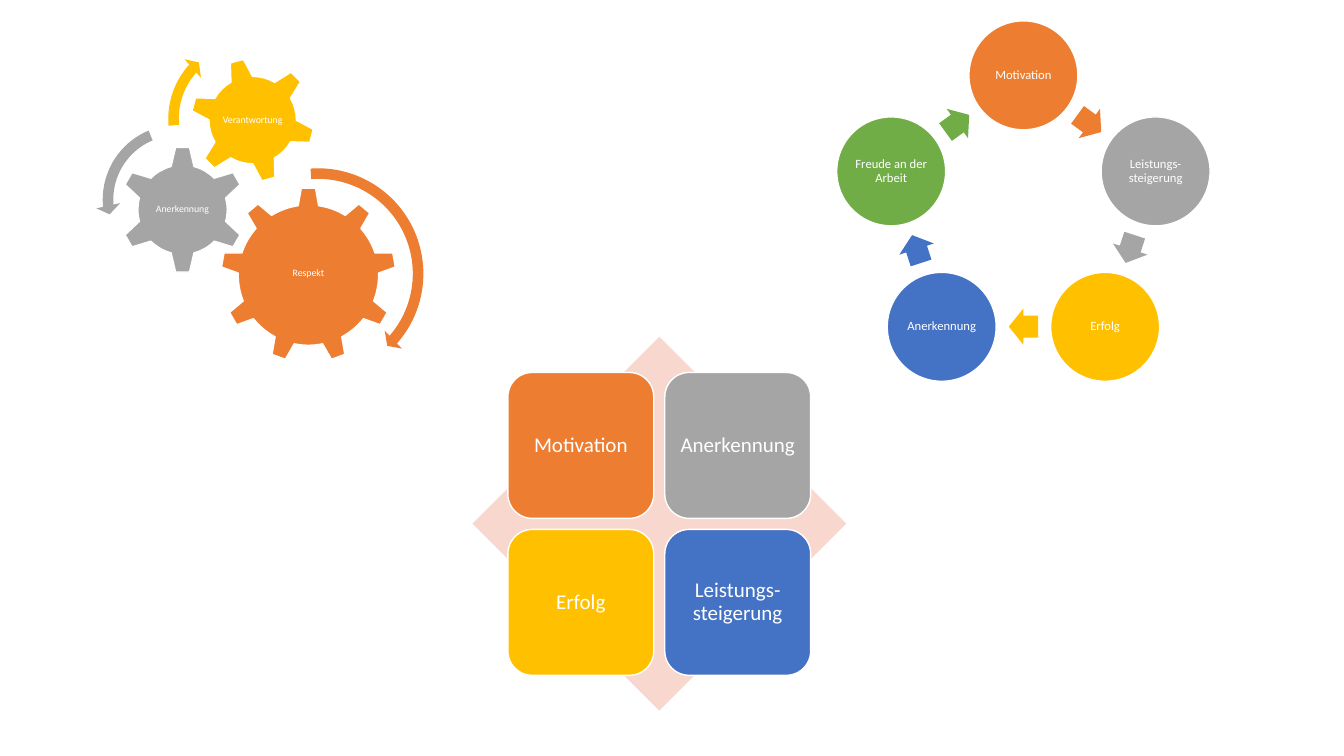
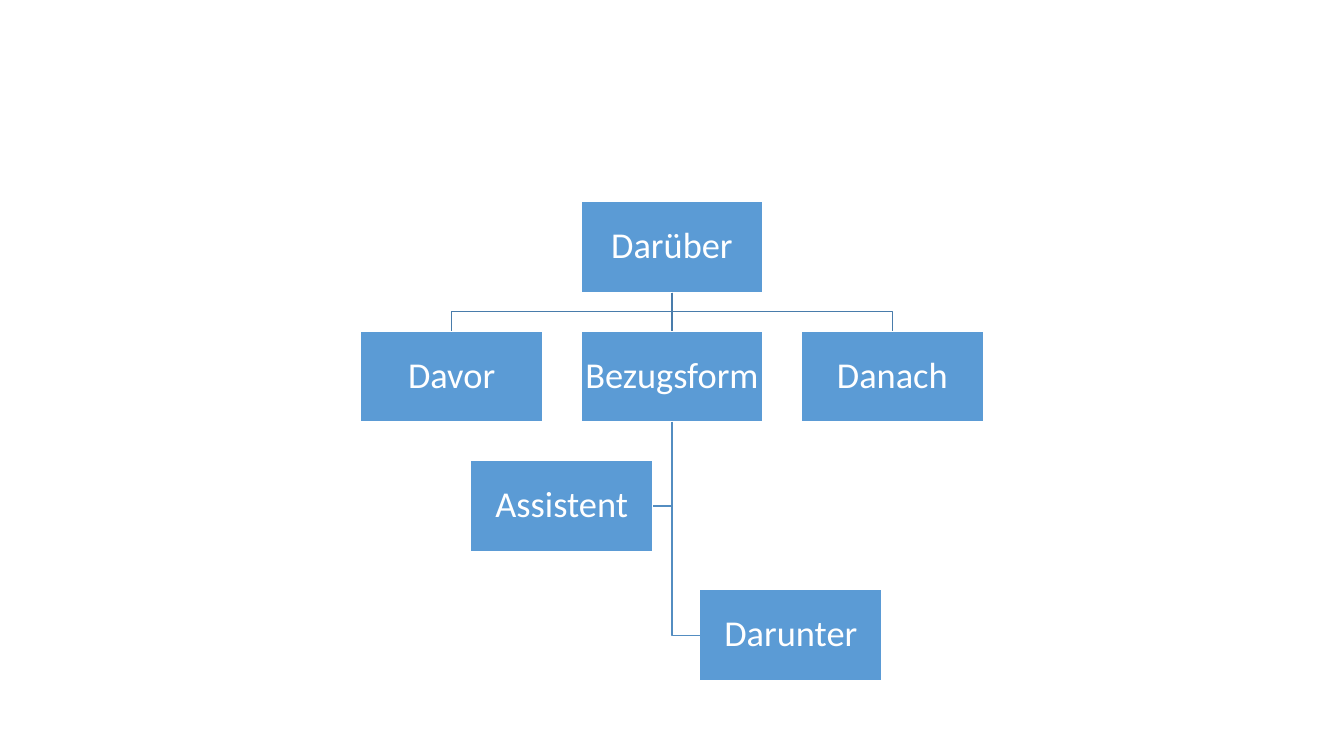
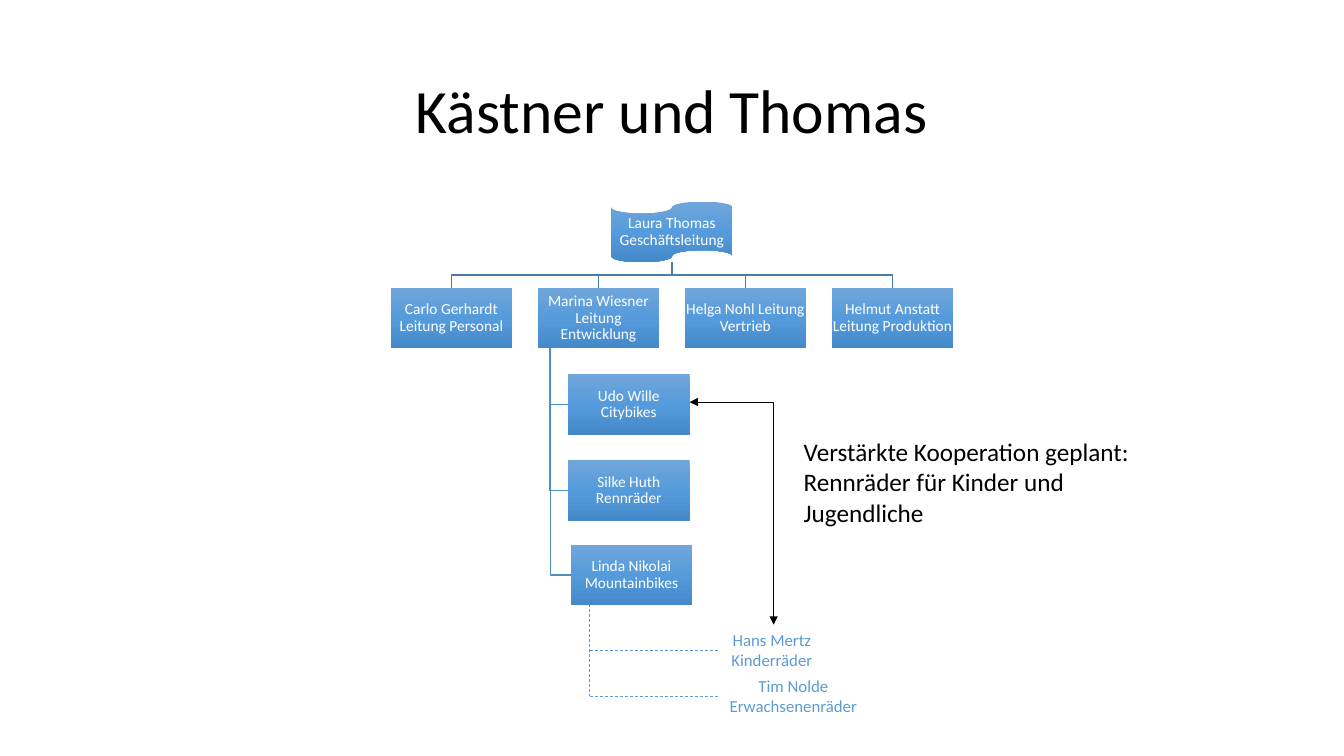
import collections
import copy
import math

import lxml.etree
import pptx
import pptx.dml.color
import pptx.enum.dml
import pptx.enum.shapes
import pptx.enum.text
import pptx.oxml.ns
import pptx.util

Pt = pptx.util.Pt
RGBColor = pptx.dml.color.RGBColor
Preset = pptx.enum.shapes.MSO_SHAPE
Straight = pptx.enum.shapes.MSO_CONNECTOR.STRAIGHT
Elbow = pptx.enum.shapes.MSO_CONNECTOR.ELBOW
Align = pptx.enum.text.PP_ALIGN
Anchor = pptx.enum.text.MSO_ANCHOR
Dash = pptx.enum.dml.MSO_LINE.DASH
qn = pptx.oxml.ns.qn

WHITE = RGBColor(0xFF, 0xFF, 0xFF)
BLACK = RGBColor(0, 0, 0)
ORANGE = RGBColor(0xED, 0x7D, 0x31)
GRAY = RGBColor(0xA5, 0xA5, 0xA5)
YELLOW = RGBColor(0xFF, 0xC0, 0x00)
BLUE = RGBColor(0x44, 0x72, 0xC4)
GREEN = RGBColor(0x70, 0xAD, 0x47)
PINK = RGBColor(0xF8, 0xD7, 0xCE)
SKY = RGBColor(0x5B, 0x9B, 0xD5)
UPPER_LINK = RGBColor(0x49, 0x7C, 0xAB)
LOWER_LINK = RGBColor(0x53, 0x8D, 0xC1)
GRADIENT = (
    (0, RGBColor(0x71, 0xA6, 0xDB)),
    (0.5, RGBColor(0x55, 0x9B, 0xDB)),
    (1, RGBColor(0x44, 0x8A, 0xCA)),
)

FONT = "Calibri"
SLIDE_WIDTH, SLIDE_HEIGHT = 960, 540
TOP, BOTTOM, LEFT, RIGHT = 0, 2, 1, 3
SIDE_FRACTIONS = {TOP: (0.5, 0), LEFT: (0, 0.5), BOTTOM: (0.5, 1), RIGHT: (1, 0.5)}

Joint = collections.namedtuple("Joint", "shape side")


def apply(target, values):
    for name, value in values.items():
        setattr(target, name, value)


def write(shape, lines, size, color=WHITE, inset=1, align=Align.CENTER,
          spacing=0.9, wrap=True, anchor=Anchor.MIDDLE):
    frame = shape.text_frame
    apply(frame, {"word_wrap": wrap, "vertical_anchor": anchor})
    margins = ("margin_left", "margin_top", "margin_right", "margin_bottom")
    apply(frame, dict.fromkeys(margins, Pt(inset)))
    for index, line in enumerate(lines):
        paragraph = frame.add_paragraph() if index else frame.paragraphs[0]
        apply(paragraph, {"text": line, "alignment": align, "line_spacing": spacing})
        apply(paragraph.font, {"name": FONT, "size": Pt(size)})
        paragraph.font.color.rgb = color


def add_text(slide, box, lines, size, **formats):
    write(slide.shapes.add_textbox(*map(Pt, box)), lines, size, **formats)


def add_figure(slide, preset, box, fill=None, outline=None, rotation=0, adjustments=()):
    shape = slide.shapes.add_shape(preset, *map(Pt, box))
    shape.shadow.inherit = False
    shape.rotation = rotation
    for index, value in enumerate(adjustments):
        shape.adjustments[index] = value
    if fill is None:
        fill_gradient(shape)
    else:
        shape.fill.solid()
        shape.fill.fore_color.rgb = fill
    if outline is None:
        shape.line.fill.background()
    else:
        shape.line.color.rgb = outline
        shape.line.width = Pt(1)
    return shape


def fill_gradient(shape):
    shape.fill.gradient()
    shape.fill.gradient_angle = 270
    stop_list = next(shape._element.spPr.iter(qn("a:gsLst")))
    stop_list.insert(1, copy.deepcopy(stop_list[0]))
    for stop, (position, color) in zip(shape.fill.gradient_stops, GRADIENT):
        stop.position = position
        stop.color.rgb = color


def locate(end):
    if not isinstance(end, Joint):
        return end
    across, down = SIDE_FRACTIONS[end.side]
    shape = end.shape
    return ((shape.left + across * shape.width) / Pt(1),
            (shape.top + down * shape.height) / Pt(1))


def add_link(slide, begin, end, color, width=1, dash=None, kind=Straight):
    points = [Pt(value) for value in (*locate(begin), *locate(end))]
    connector = slide.shapes.add_connector(kind, *points)
    apply(connector.line, {"width": Pt(width), "dash_style": dash})
    connector.line.color.rgb = color
    lxml.etree.SubElement(connector._element.spPr, qn("a:effectLst"))
    if isinstance(begin, Joint):
        connector.begin_connect(begin.shape, begin.side)
    if isinstance(end, Joint):
        connector.end_connect(end.shape, end.side)
    return connector


def add_elbow(slide, begin, end, color, turn=0.5, width=1):
    (begin_x, begin_y), (end_x, end_y) = locate(begin), locate(end)
    center_x, center_y = (begin_x + end_x) / 2, (begin_y + end_y) / 2
    half_length, half_span = (end_y - begin_y) / 2, abs(end_x - begin_x) / 2
    to_right = end_x > begin_x
    reach = half_length if to_right else -half_length
    connector = add_link(slide, (center_x + reach, center_y - half_span),
                         (center_x - reach, center_y + half_span),
                         color, width, kind=Elbow)
    properties = connector._element.spPr
    rotation = 270 if to_right else 90
    properties.find(qn("a:xfrm")).set("rot", str(rotation * 60000))
    guides = properties.find(qn("a:prstGeom")).find(qn("a:avLst"))
    lxml.etree.SubElement(guides, qn("a:gd"), name="adj1",
                          fmla=f"val {round(turn * 100000)}")
    return connector


def add_arrowheads(connector):
    line = connector._element.spPr.find(qn("a:ln"))
    for tag in ("a:headEnd", "a:tailEnd"):
        lxml.etree.SubElement(line, qn(tag), type="triangle")


def add_gears(slide):
    gears = (
        ("Respekt", Preset.GEAR_9, (157.7, 133.9), 125.3, 0, ORANGE, (220.3, 195.1)),
        ("Anerkennung", Preset.GEAR_6, (84.8, 104.2), 91.2, 0, GRAY, (130.3, 149.8)),
        ("Verantwortung", Preset.GEAR_6, (135.9, 41.2), 89.2, 345, YELLOW, (180.5, 86.2)),
    )
    for label, preset, corner, size, rotation, color, (x, y) in gears:
        add_figure(slide, preset, (*corner, size, size), color, WHITE, rotation)
        add_text(slide, (x - 35, y - 10, 70, 20), [label], 7)
    arrows = (
        (Preset.CIRCULAR_ARROW, (146.9, 115.2), 160.6, ORANGE,
         (0.047, 2.99, 24.741, 159.551, 0.055)),
        (Preset.LEFT_CIRCULAR_ARROW, (68.4, 84.2), 116.6, GRAY,
         (0.065, 4.3, 104.891, 148.378, 0.075)),
        (Preset.CIRCULAR_ARROW, (115.2, 22.3), 125.3, YELLOW,
         (0.06, 3.941, 133.138, 105.082, 0.07)),
    )
    for preset, corner, size, color, adjustments in arrows:
        add_figure(slide, preset, (*corner, size, size), color, adjustments=adjustments)


def add_cycle(slide):
    center_x, center_y = 731, 153.1
    circle, arrow_width, arrow_height = 77.8, 20.9, 25.9

    def around(radius, degrees, width, height):
        angle = math.radians(degrees)
        return (center_x + radius * math.sin(angle) - width / 2,
                center_y - radius * math.cos(angle) - height / 2, width, height)

    steps = (("Motivation", ORANGE), ("Leistungs-steigerung", GRAY), ("Erfolg", YELLOW),
             ("Anerkennung", BLUE), ("Freude an der Arbeit", GREEN))
    for index, (label, color) in enumerate(steps):
        angle = index * 360 / len(steps)
        ellipse = add_figure(slide, Preset.OVAL, around(99.3, angle, circle, circle),
                             color, WHITE)
        write(ellipse, [label], 9)
        turn = angle + 180 / len(steps)
        add_figure(slide, Preset.RIGHT_ARROW,
                   around(80.2, turn, arrow_width, arrow_height),
                   color, rotation=turn, adjustments=(0.6, 0.5))


def add_matrix(slide):
    add_figure(slide, Preset.DIAMOND, (337.5, 240.6, 267, 267), PINK)
    cells = (("Motivation", ORANGE), ("Anerkennung", GRAY),
             ("Erfolg", YELLOW), ("Leistungs-steigerung", BLUE))
    size, pitch = 104.2, 112.1
    for index, (label, color) in enumerate(cells):
        row, column = divmod(index, 2)
        box = (362.8 + column * pitch, 266.1 + row * pitch, size, size)
        write(add_figure(slide, Preset.ROUNDED_RECTANGLE, box, color, WHITE),
              [label], 15, inset=4)


def build_position_chart(slide):
    width, height, column_pitch, row_pitch = 130.1, 65, 157.4, 92.4
    first_left, first_top = 257.6, 144

    def add_box(label, left, row):
        box = (left, first_top + row * row_pitch, width, height)
        shape = add_figure(slide, Preset.RECTANGLE, box, SKY, WHITE)
        write(shape, [label], 26, inset=1.5)
        return shape

    above = add_box("Darüber", first_left + column_pitch, 0)
    before, reference, after = [
        add_box(label, first_left + column * column_pitch, 1)
        for column, label in enumerate(("Davor", "Bezugsform", "Danach"))]
    assistant = add_box("Assistent", first_left + column_pitch / 2, 2)
    below = add_box("Darunter", 499.9, 3)

    add_link(slide, Joint(above, BOTTOM), Joint(reference, TOP), UPPER_LINK)
    for peer in (before, after):
        add_elbow(slide, Joint(above, BOTTOM), Joint(peer, TOP), UPPER_LINK)
    for end in (Joint(assistant, RIGHT), Joint(below, LEFT)):
        add_elbow(slide, Joint(reference, BOTTOM), end, LOWER_LINK, turn=1)


def build_company_chart(slide):
    add_text(slide, (66, 28.8, 828, 104.4), ["Kästner und Thomas"], 44,
             color=BLACK, inset=4)
    width, height, column_pitch = 86.8, 43.3, 105
    chart_top, managers_top = 144, 205.5

    def add_person(label, left, top, preset=Preset.RECTANGLE):
        shape = add_figure(slide, preset, (left, top, width, height))
        write(shape, [label], 11, inset=0.5)
        return shape

    director = add_person("Laura Thomas Geschäftsleitung", (SLIDE_WIDTH - width) / 2,
                          chart_top, Preset.FLOWCHART_PUNCHED_TAPE)
    names = ("Carlo Gerhardt Leitung Personal", "Marina Wiesner Leitung Entwicklung",
             "Helga Nohl Leitung Vertrieb", "Helmut Anstatt Leitung Produktion")
    managers = [add_person(name, 279.1 + column * column_pitch, managers_top)
                for column, name in enumerate(names)]
    team = [add_person(*person) for person in (
        ("Udo Wille Citybikes", 405.8, 267.2),
        ("Silke Huth Rennräder", 405.8, 328.8),
        ("Linda Nikolai Mountainbikes", 407.7, 389),
    )]

    for manager in managers:
        add_elbow(slide, Joint(director, BOTTOM), Joint(manager, TOP), UPPER_LINK)
    for person in team:
        add_elbow(slide, (393, managers_top + height), Joint(person, LEFT),
                  LOWER_LINK, turn=1)

    add_arrowheads(add_elbow(slide, (492.6, 287.3), (552.6, 446.2), BLACK,
                             turn=-0.001, width=0.5))
    dashed = {"color": SKY, "width": 0.5, "dash": Dash}
    dashed_x, helper_rows = 421.2, (464.4, 497.5)
    add_link(slide, (dashed_x, 431.5), (dashed_x, helper_rows[-1]), **dashed)
    for y in helper_rows:
        add_link(slide, (dashed_x, y), (514, y), **dashed)

    plain = {"spacing": 1, "wrap": False, "inset": 3.6}
    add_text(slide, (514.3, 445.8, 74.2, 36.4), ["Hans Mertz", "Kinderräder"], 12,
             color=SKY, **plain)
    add_text(slide, (513.4, 478.9, 106.6, 36.4), ["Tim Nolde", "Erwachsenenräder"], 12,
             color=SKY, **plain)
    add_text(slide, (570.5, 307.7, 242, 72.7),
             ["Verstärkte Kooperation geplant:", "Rennräder für Kinder und", "Jugendliche"],
             18, color=BLACK, align=Align.LEFT, **plain)


def build_diagrams(slide):
    add_gears(slide)
    add_cycle(slide)
    add_matrix(slide)


def main():
    presentation = pptx.Presentation()
    apply(presentation, {"slide_width": Pt(SLIDE_WIDTH), "slide_height": Pt(SLIDE_HEIGHT)})
    for build in (build_diagrams, build_position_chart, build_company_chart):
        build(presentation.slides.add_slide(presentation.slide_layouts[6]))
    presentation.save("out.pptx")


if __name__ == "__main__":
    main()
